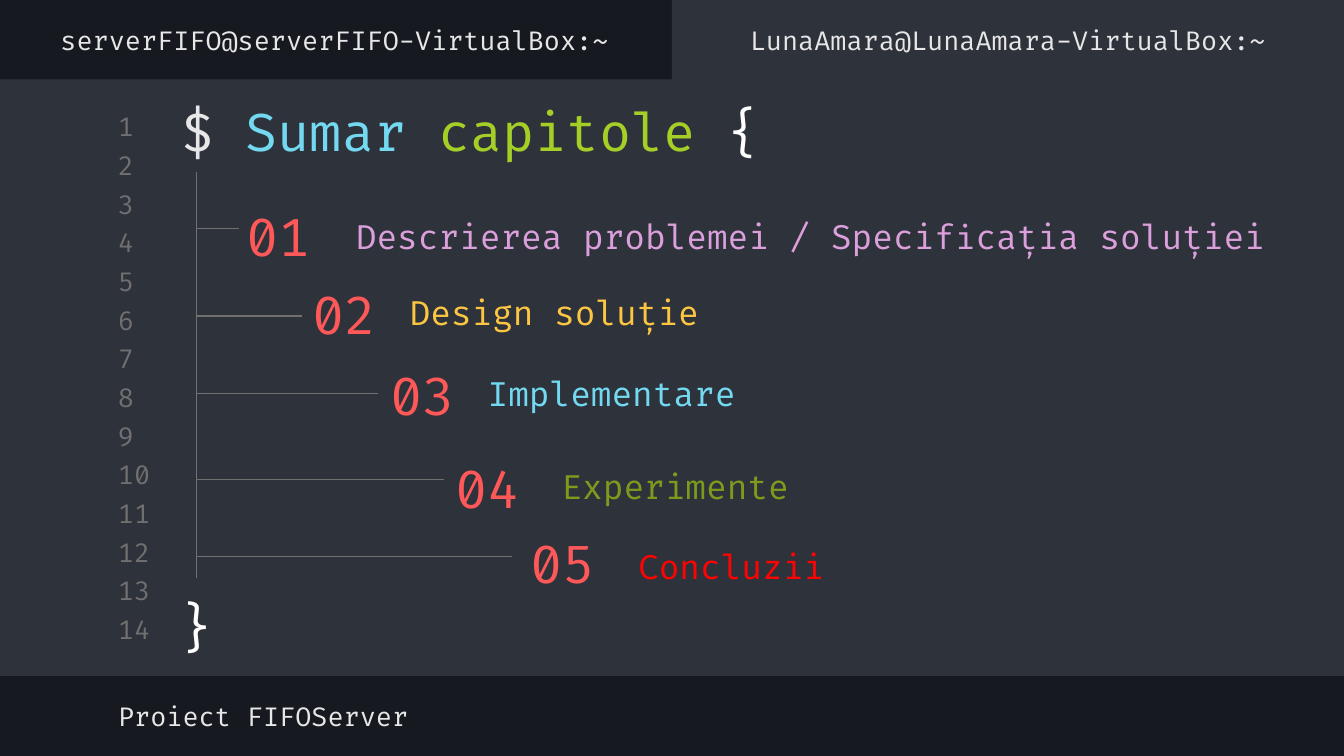
from pptx import Presentation
from pptx.dml.color import RGBColor
from pptx.enum.shapes import MSO_CONNECTOR, MSO_SHAPE
from pptx.enum.text import MSO_ANCHOR, MSO_AUTO_SIZE, PP_ALIGN
from pptx.oxml.ns import qn
from pptx.util import Inches, Pt
from lxml.etree import SubElement


class Theme:
    font = "Fira Code"
    dark, panel, gray = "16191F", "2E323B", "707070"
    light, white, coral = "E7E7E7", "FFFFFF", "FF5858"
    blue, lime, pink = "72D9F0", "A5CF27", "DBA0DB"
    gold, moss, red = "FCC642", "7C9B1D", "FF0202"
    large, mid, small = 28, 18, 14
    line = 0.75


def write(text, at, color=Theme.light, size=Theme.small, align=PP_ALIGN.LEFT,
          anchor=MSO_ANCHOR.MIDDLE, box=None):
    left, top, width, height = map(Inches, at)
    if box is None:
        box = slide.shapes.add_textbox(left, top, width, height)
    box.left, box.top, box.width, box.height = left, top, width, height
    frame = box.text_frame
    frame.auto_size = MSO_AUTO_SIZE.NONE
    frame.word_wrap = True
    frame.vertical_anchor = anchor
    frame.margin_left = frame.margin_right = Inches(0.1)
    frame.margin_top = frame.margin_bottom = Inches(0.1)
    para = frame.paragraphs[0]
    para.alignment = align
    parts = [(text, color)] if isinstance(text, str) else text
    for words, shade in parts:
        run = para.add_run()
        run.text = words
        run.font.name = Theme.font
        run.font.size = Pt(size)
        run.font.color.rgb = RGBColor.from_string(shade)


def draw_line(*ends):
    line = slide.shapes.add_connector(MSO_CONNECTOR.STRAIGHT, *map(Inches, ends))
    line.line.color.rgb = RGBColor.from_string(Theme.gray)
    line.line.width = Pt(Theme.line)
    SubElement(line.element.spPr, qn("a:effectLst"))


deck = Presentation()
deck.slide_width = Inches(10)
deck.slide_height = deck.slide_width * 9 // 16
slide = deck.slides.add_slide(deck.slide_layouts[5])
back = slide.background.fill
back.solid()
back.fore_color.rgb = RGBColor.from_string(Theme.dark)

for at in [(0, 0.59, 10, 4.44), (5, 0, 5, 0.69)]:
    pane = slide.shapes.add_shape(MSO_SHAPE.RECTANGLE, *map(Inches, at))
    pane.shadow.inherit = False
    pane.fill.solid()
    pane.fill.fore_color.rgb = RGBColor.from_string(Theme.panel)
    pane.line.fill.background()

head = slide.shapes.title
head.element.getparent().append(head.element)
write([("$ ", Theme.light), ("Sumar", Theme.blue), (" capitole ", Theme.lime),
       ("{", Theme.white)],
      (1.25, 0.64, 7.97, 0.59), size=Theme.large, anchor=MSO_ANCHOR.TOP, box=head)

first, last, count = 0.82, 4.56, 14
step = (last - first) / (count - 1)
for row in range(count):
    write(str(row + 1), (0.78, first + row * step, 0.47, 0.24), color=Theme.gray)

stem = 1.46
draw_line(stem, 1.28, stem, 4.3)
items = [
    ("Descrierea problemei / Specificația soluției", Theme.pink,
     1.6, 1.57, 2.55, 1.57, 7.12, 1.78, 1.7),
    ("Design soluție", Theme.gold, 2.09, 2.15, 2.95, 2.14, 3.42, 2.25, 2.35),
    ("Implementare", Theme.blue, 2.67, 2.75, 3.53, 2.74, 3.42, 2.81, 2.93),
    ("Experimente", Theme.moss, 3.15, 3.44, 4.08, 3.43, 3.42, 3.3, 3.57),
    ("Concluzii", Theme.red, 3.71, 4, 4.65, 4.03, 3.42, 3.81, 4.14),
]
for rank, (name, color, left, top, start, high, width, end, level) in enumerate(items, 1):
    write(f"{rank:02}", (left, top, 0.95, 0.37), color=Theme.coral,
          size=Theme.large, align=PP_ALIGN.CENTER)
    write(name, (start, high, width, 0.37), color=color, size=Theme.mid)
    draw_line(stem, level, end, level)

write("}", (1.19, 4.32, 0.55, 0.67), color=Theme.white, size=Theme.large,
      align=PP_ALIGN.CENTER, anchor=MSO_ANCHOR.TOP)
write("Proiect FIFOServer", (0.78, 5.13, 5.32, 0.39))
for left, name in [(-0.01, "serverFIFO@serverFIFO-VirtualBox:~"),
                   (5, "LunaAmara@LunaAmara-VirtualBox:~")]:
    write(name, (left, 0.1, 5, 0.39), align=PP_ALIGN.CENTER)

deck.save("out.pptx")
